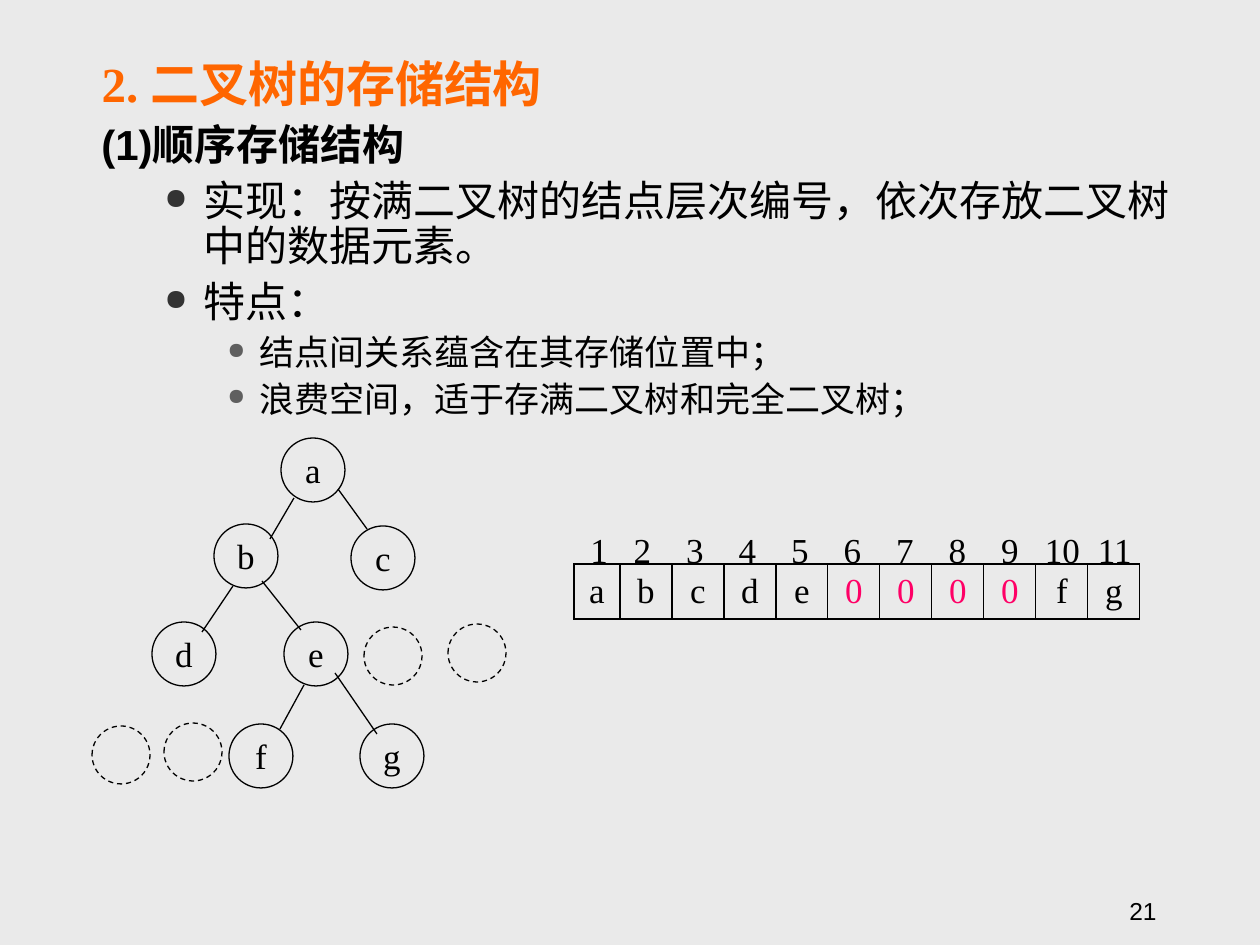
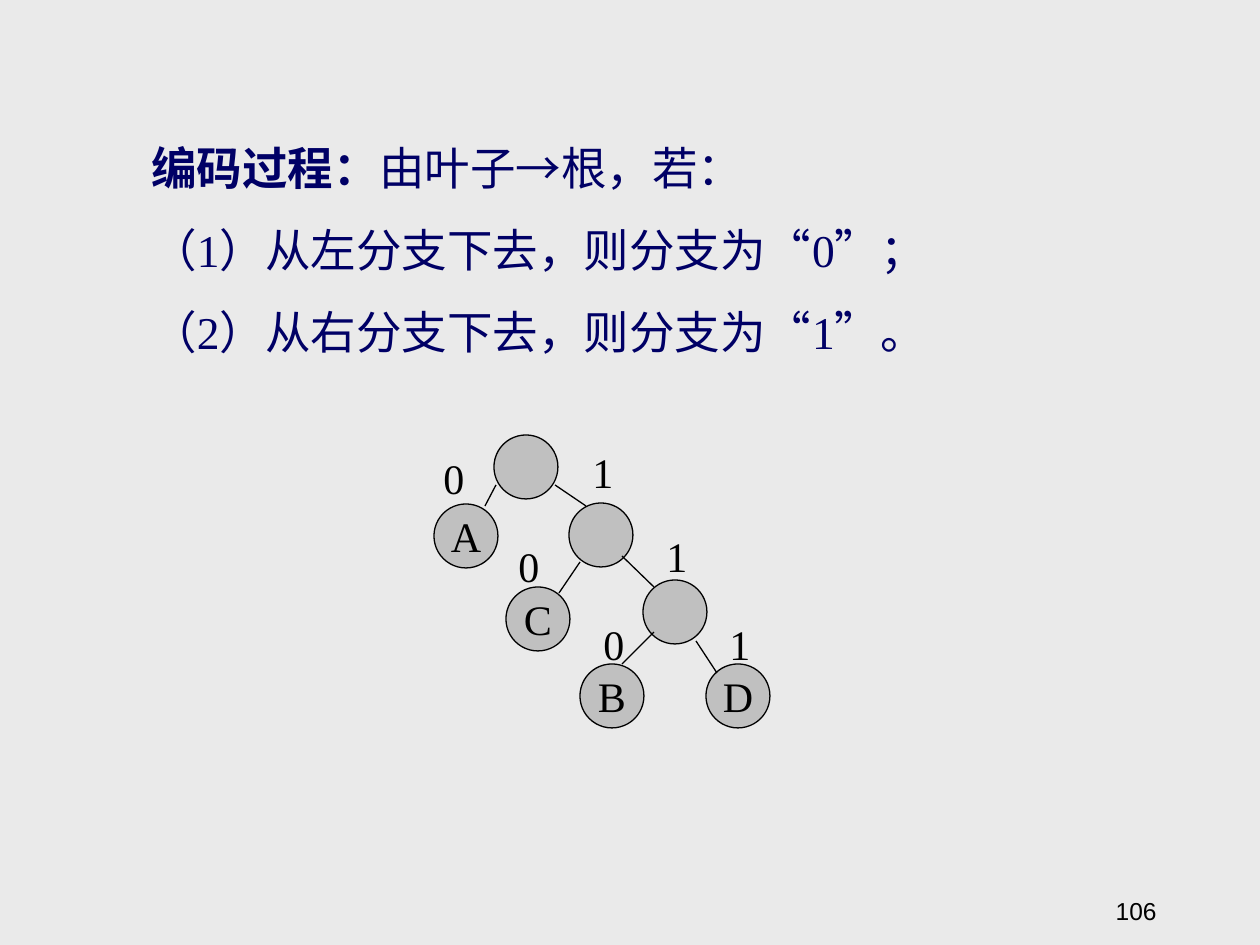
from lxml import etree
from pptx import Presentation
from pptx.dml.color import RGBColor
from pptx.enum.dml import MSO_LINE
from pptx.enum.shapes import MSO_CONNECTOR, MSO_SHAPE
from pptx.enum.text import MSO_ANCHOR, MSO_AUTO_SIZE, PP_ALIGN
from pptx.oxml import parse_xml
from pptx.oxml.ns import nsdecls, qn
from pptx.util import Pt

LEFT, CENTER, RIGHT = PP_ALIGN.LEFT, PP_ALIGN.CENTER, PP_ALIGN.RIGHT
TOP, MIDDLE, BOTTOM = MSO_ANCHOR.TOP, MSO_ANCHOR.MIDDLE, MSO_ANCHOR.BOTTOM
OVAL, STRAIGHT, DASH = MSO_SHAPE.OVAL, MSO_CONNECTOR.STRAIGHT, MSO_LINE.DASH
NO_AUTOFIT = MSO_AUTO_SIZE.NONE

SERIF, SANS = "Times New Roman", "Arial"
BACKGROUND, BLACK, ORANGE = "EAEAEA", "000000", "FF6600"
NAVY, PINK, GRAY = "000066", "FF0066", "C0C0C0"
THIN = Pt(0.75)
TITLE_ONLY, BLANK = 5, 6
rgb = RGBColor.from_string


def px(*lengths):
    """Turn px (126 to the inch) into EMU."""
    return [round(length * 914400 / 126) for length in lengths]


def style(para, size, color=BLACK, font=SERIF, bold=False, align=LEFT):
    para.alignment = align
    para.font.size = Pt(size)
    para.font.name = font
    para.font.bold = bold
    para.font.color.rgb = rgb(color)


# Deck and shared background
deck = Presentation()
deck.slide_width, deck.slide_height = px(1260, 945)
deck.slide_master.background.fill.solid()
deck.slide_master.background.fill.fore_color.rgb = rgb(BACKGROUND)
storage = deck.slides.add_slide(deck.slide_layouts[TITLE_ONLY])
coding = deck.slides.add_slide(deck.slide_layouts[BLANK])

# Storage slide: title
title = storage.shapes.title
title.left, title.top, title.width, title.height = px(89, 54, 1105, 64)
title.text_frame.text = "2. 二叉树的存储结构"
title.text_frame.vertical_anchor = TOP
title.text_frame.auto_size = NO_AUTOFIT
title.text_frame.paragraphs[0].line_spacing = 0.9
style(title.text_frame.paragraphs[0], 28, ORANGE, bold=True)

# Storage slide: outline (text, level, size, space before)
outline = [
    ("(1)顺序存储结构", 0, 24, 0),
    ("实现：按满二叉树的结点层次编号，依次存放二叉树中的数据元素。", 1, 24, 6),
    ("特点：", 1, 24, 6),
    ("结点间关系蕴含在其存储位置中；", 2, 20, 5),
    ("浪费空间，适于存满二叉树和完全二叉树；", 2, 20, 5),
]
indents = [(48, -48), (102, -39), (158, -32)]
bullets = {1: ("333333", 70), 2: ("5F5F5F", 65)}
frame = storage.shapes.add_textbox(*px(89, 118, 1105, 309)).text_frame
frame.word_wrap = True
for index, (text, level, size, before) in enumerate(outline):
    para = frame.add_paragraph() if index else frame.paragraphs[0]
    para.text = text
    para.level = level
    para.line_spacing = 0.9
    para.space_before = Pt(before)
    properties = para._p.get_or_add_pPr()
    margin, indent = px(*indents[level])
    properties.set("marL", str(margin))
    properties.set("indent", str(indent))
    if level in bullets:
        color, percent = bullets[level]
        properties.append(parse_xml(
            f'<a:buClr {nsdecls("a")}><a:srgbClr val="{color}"/></a:buClr>'))
        properties.append(parse_xml(f'<a:buSzPct {nsdecls("a")} val="{percent}000"/>'))
        properties.append(parse_xml(f'<a:buChar {nsdecls("a")} char="●"/>'))
    style(para, size, font=SANS, bold=level == 0)

# Storage slide: array of nodes
elements = "abcde0000fg"
table = storage.shapes.add_table(1, len(elements), *px(574, 564, 566, 55)).table
table.first_row = table.horz_banding = False
table.rows[0].height = px(55)[0]
for index, element in enumerate(elements):
    table.columns[index].width = px(52 if index else 46)[0]
    cell = table.cell(0, index)
    cell.text = element
    cell.vertical_anchor = MIDDLE
    cell.margin_left = cell.margin_right = 0
    cell.fill.background()
    for position, side in enumerate(("lnL", "lnR", "lnT", "lnB")):
        cell._tc.get_or_add_tcPr().insert(position, parse_xml(
            f'<a:{side} {nsdecls("a")} w="{THIN}"><a:solidFill>'
            f'<a:srgbClr val="{BLACK}"/></a:solidFill></a:{side}>'))
    style(cell.text_frame.paragraphs[0], 20, PINK if element == "0" else BLACK,
          align=CENTER)

# Storage slide: positions over the array, on centred tab stops
frame = storage.shapes.add_textbox(*px(578, 522, 568, 55)).text_frame
frame.word_wrap = True
frame.vertical_anchor = MIDDLE
para = frame.paragraphs[0]
para.text = "\t".join(str(number + 1) for number in range(len(elements)))
tabs = etree.SubElement(para._p.get_or_add_pPr(), qn("a:tabLst"))
for step in range(len(elements) - 1):
    stop = px(52 + 52.5 * step)[0]
    etree.SubElement(tabs, qn("a:tab"), pos=str(stop), algn="ctr")
style(para, 20)

# Coding slide: rules (bold lead, rest)
rules = [
    ("编码过程：", "由叶子→根，若："),
    ("", "（1）从左分支下去，则分支为“0”；"),
    ("", "（2）从右分支下去，则分支为“1”。"),
]
frame = coding.shapes.add_textbox(*px(139, 117, 924, 320)).text_frame
frame.word_wrap = True
for index, (lead, rest) in enumerate(rules):
    para = frame.add_paragraph() if index else frame.paragraphs[0]
    para.line_spacing = 1.3
    para.space_before = Pt(6.5 if index else 0)
    style(para, 26, NAVY)
    if lead:
        span = para.add_run()
        span.text = lead
        span.font.bold = True
    para.add_run().text = rest

# Trees: nodes are (left, top, label), a label of None marks an absent node
storage_nodes = [
    (281, 438, "a"), (214, 524, "b"), (351, 526, "c"), (152, 622, "d"),
    (284, 622, "e"), (229, 724, "f"), (360, 724, "g"),
    (364, 627, None), (448, 624, None), (92, 726, None), (164, 723, None),
]
storage_edges = [
    (294, 498, 270, 539), (233, 586, 202, 632), (338, 489, 367, 529),
    (262, 581, 301, 630), (335, 673, 377, 734), (304, 685, 280, 729),
]
coding_nodes = [
    (494, 435, ""), (569, 503, ""), (643, 580, ""), (434, 504, "A"),
    (506, 587, "C"), (580, 664, "B"), (706, 664, "D"),
]
coding_edges = [
    (496, 485, 485, 506), (555, 485, 586, 506), (580, 562, 559, 593),
    (654, 632, 622, 664), (696, 641, 717, 673), (622, 556, 654, 587),
]
trees = [
    (storage, storage_nodes, storage_edges, None, 20, "21"),
    (coding, coding_nodes, coding_edges, GRAY, 24, "106"),
]
for slide, nodes, edges, fill, size, number in trees:
    for left, top, label in nodes:
        diameter = 58 if label is None else 64
        node = slide.shapes.add_shape(OVAL, *px(left, top, diameter, diameter))
        node.shadow.inherit = False
        node.line.color.rgb = rgb(BLACK)
        node.line.width = THIN
        if fill:
            node.fill.solid()
            node.fill.fore_color.rgb = rgb(fill)
        else:
            node.fill.background()
        if label is None:
            node.line.dash_style = DASH
        if label:
            node.text_frame.text = label
            node.text_frame.word_wrap = False
            node.text_frame.vertical_anchor = MIDDLE
            style(node.text_frame.paragraphs[0], size, align=CENTER)
    for ends in edges:
        edge = slide.shapes.add_connector(STRAIGHT, *px(*ends))
        edge.line.color.rgb = rgb(BLACK)
        edge.line.width = THIN
        etree.SubElement(edge._element.spPr, qn("a:effectLst"))

    # Page number
    frame = slide.shapes.add_textbox(*px(907, 869, 262, 63)).text_frame
    frame.word_wrap = True
    frame.vertical_anchor = BOTTOM
    frame.text = number
    style(frame.paragraphs[0], 14, font=SANS, align=RIGHT)

# Coding slide: branch codes
codes = {
    "0": [(431, 446), (506, 534), (591, 612)],
    "1": [(580, 440), (654, 524), (717, 612)],
}
for code, places in codes.items():
    for left, top in places:
        frame = coding.shapes.add_textbox(*px(left, top, 73, 63)).text_frame
        frame.word_wrap = True
        frame.text = code
        style(frame.paragraphs[0], 24)

deck.save("out.pptx")
